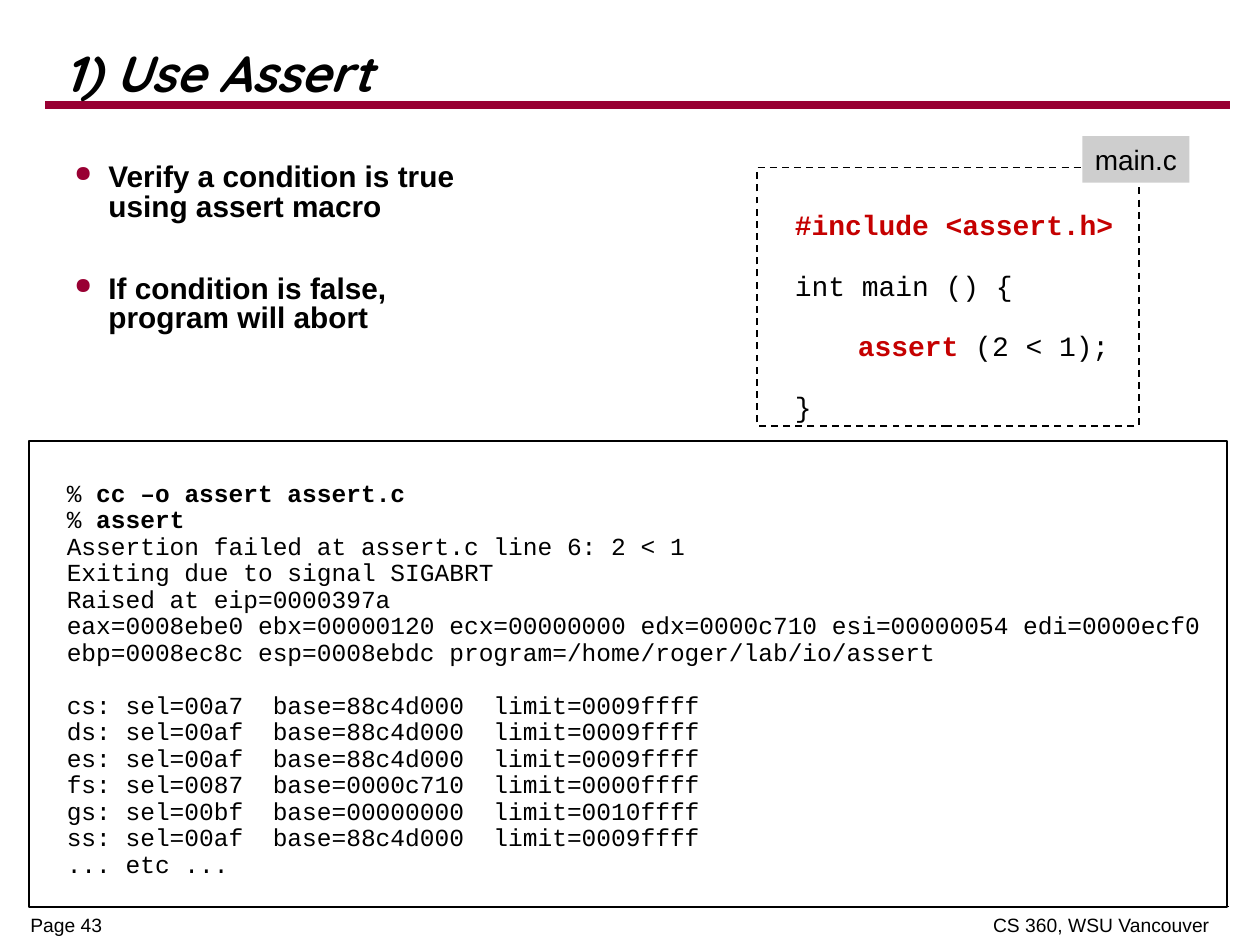
from pptx import Presentation
from pptx.dml.color import RGBColor
from pptx.enum.dml import MSO_LINE
from pptx.enum.shapes import MSO_CONNECTOR, MSO_SHAPE
from pptx.enum.text import MSO_ANCHOR, PP_ALIGN
from pptx.oxml.ns import qn
from pptx.util import Inches, Pt
from lxml import etree

RECT = MSO_SHAPE.RECTANGLE
STRAIGHT = MSO_CONNECTOR.STRAIGHT
DASH = MSO_LINE.DASH
TOP, MIDDLE = MSO_ANCHOR.TOP, MSO_ANCHOR.MIDDLE
LEFT = PP_ALIGN.LEFT

COLORS = {name: RGBColor.from_string(value) for name, value in {
    "black": "000000", "white": "FFFFFF", "crimson": "990033",
    "red": "C50000", "gray": "CECECE"}.items()}

prs = Presentation()
prs.slide_width, prs.slide_height = Inches(10), Inches(7.5)
s = prs.slides.add_slide(prs.slide_layouts[6])


def add_box(box, margins, fill=None, line=None, wrap=True, anchor=TOP):
    """Add a rectangle, or a plain text box if it has no fill or line."""
    place = [Inches(v) for v in box]
    if fill or line:
        sp = s.shapes.add_shape(RECT, *place)
        sp.shadow.inherit = False
        for part, color in ((sp.fill, fill), (sp.line.fill, line)):
            if color:
                part.solid()
                part.fore_color.rgb = COLORS[color]
            else:
                part.background()
        if line:
            sp.line.width = Pt(1)
    else:
        sp = s.shapes.add_textbox(*place)
    tf = sp.text_frame
    tf.margin_left, tf.margin_top, tf.margin_right, tf.margin_bottom = (
        Inches(v) for v in margins)
    tf.word_wrap, tf.vertical_anchor = wrap, anchor
    return sp


def add_lines(sp, lines, size, font, spacing, gap=0, bold=False):
    """Write (space above, runs) lines; a run is text or (text, color)."""
    tf = sp.text_frame
    for i, (above, runs) in enumerate(lines):
        p = tf.paragraphs[0] if i == 0 else tf.add_paragraph()
        p.alignment, p.line_spacing = LEFT, spacing
        p.space_before = Pt(gap if above else 0)
        for run in runs:
            text, color = run if isinstance(run, tuple) else (run, None)
            r = p.add_run()
            r.text = text
            r.font.size, r.font.name = Pt(size), font
            r.font.bold = bold or color is not None
            r.font.color.rgb = COLORS[color or "black"]


# Footer with a right tab
sp = add_box((0.24, 7.26, 9.39, 0.24), (0, 0, 0, 0))
add_lines(sp, [(False, ["Page 43\tCS 360, WSU Vancouver"])], 11, "Arial", 0.96)
pPr = sp.text_frame.paragraphs[0]._p.get_or_add_pPr()
tabs = etree.SubElement(pPr, qn("a:tabLst"))
etree.SubElement(tabs, qn("a:tab"), pos=str(Inches(9.36)), algn="r")

# Footer rule and title rule
for x1, x2, y, color, width in ((0.26, 9.75, 7.19, "black", 0.25),
                                (0.36, 9.76, 0.83, "crimson", 4.5)):
    rule = s.shapes.add_connector(STRAIGHT, Inches(x1), Inches(y), Inches(x2), Inches(y))
    rule.line.color.rgb = COLORS[color]
    rule.line.width = Pt(width)
    etree.SubElement(rule._element.spPr, qn("a:effectLst"))

# Title
sp = add_box((0.42, 0.31, 9.57, 0.6), (0.09, 0.05, 0.09, 0.05), anchor=MIDDLE)
add_lines(sp, [(False, ["1) Use Assert"])], 29, "Quicksand", 0.87, bold=True)
sp.text_frame.paragraphs[0].runs[0].font.italic = True

# Bullets
sp = add_box((0.5, 1.25, 3.22, 1.85), (0.09, 0.05, 0.09, 0.05))
tf = sp.text_frame
tf.text = ("Verify a condition is true\vusing assert macro\n"
           "If condition is false,\vprogram will abort")
for i, p in enumerate(tf.paragraphs):
    p.line_spacing = 0.83
    p.space_before = Pt(30 if i else 0)
    pPr = p._p.get_or_add_pPr()
    pPr.set("marL", str(Inches(0.27)))
    pPr.set("indent", str(-Inches(0.27)))
    color = etree.SubElement(pPr, qn("a:buClr"))
    etree.SubElement(color, qn("a:srgbClr"), val=str(COLORS["crimson"]))
    etree.SubElement(pPr, qn("a:buSzPct"), val="75000")
    etree.SubElement(pPr, qn("a:buChar"), char="●")
    for r in p.runs:
        r.font.size, r.font.name, r.font.bold = Pt(17), "Arial", True
        r.font.color.rgb = COLORS["black"]

# Source code
sp = add_box((6.01, 1.33, 3.03, 2.05), (0.3, 0.35, 0.2, 0.05), line="black", wrap=False)
sp.line.dash_style = DASH
code = [
    (False, [("#include <assert.h>", "red")]),
    (True, ["int main () {"]),
    (True, ["\t", ("assert", "red"), " (2 < 1);"]),
    (True, ["}"]),
]
add_lines(sp, code, 16, "Courier New", 0.9, gap=17.3)
pPr = sp.text_frame.paragraphs[2]._p.get_or_add_pPr()
tabs = etree.SubElement(pPr, qn("a:tabLst"))
etree.SubElement(tabs, qn("a:tab"), pos=str(Inches(0.5)), algn="l")

# File name label
sp = add_box((8.59, 1.08, 0.85, 0.37), (0.1, 0.05, 0.1, 0.05), fill="gray", wrap=False)
add_lines(sp, [(False, ["main.c"])], 16, "Arial", 1.0)

# Terminal session
sp = add_box((0.23, 3.5, 9.51, 3.7), (0.3, 0.32, 0.2, 0.05), fill="white",
             line="black", wrap=False)
segments = [
    ("cs", "00a7", "88c4d000", "0009ffff"),
    ("ds", "00af", "88c4d000", "0009ffff"),
    ("es", "00af", "88c4d000", "0009ffff"),
    ("fs", "0087", "0000c710", "0000ffff"),
    ("gs", "00bf", "00000000", "0010ffff"),
    ("ss", "00af", "88c4d000", "0009ffff"),
]
session = [
    (False, ["% ", ("cc –o assert assert.c", "black")]),
    (False, ["% ", ("assert", "black")]),
    (False, ["Assertion failed at assert.c line 6: 2 < 1"]),
    (False, ["Exiting due to signal SIGABRT"]),
    (False, ["Raised at eip=0000397a"]),
    (False, ["eax=0008ebe0 ebx=00000120 ecx=00000000 edx=0000c710 esi=00000054 edi=0000ecf0"]),
    (False, ["ebp=0008ec8c esp=0008ebdc program=/home/roger/lab/io/assert"]),
]
session += [(i == 0, [f"{name}: sel={sel}  base={base}  limit={limit}"])
            for i, (name, sel, base, limit) in enumerate(segments)]
session.append((False, ["... etc ..."]))
add_lines(sp, session, 14, "Courier New", 0.9, gap=15.1)

prs.save("out.pptx")
